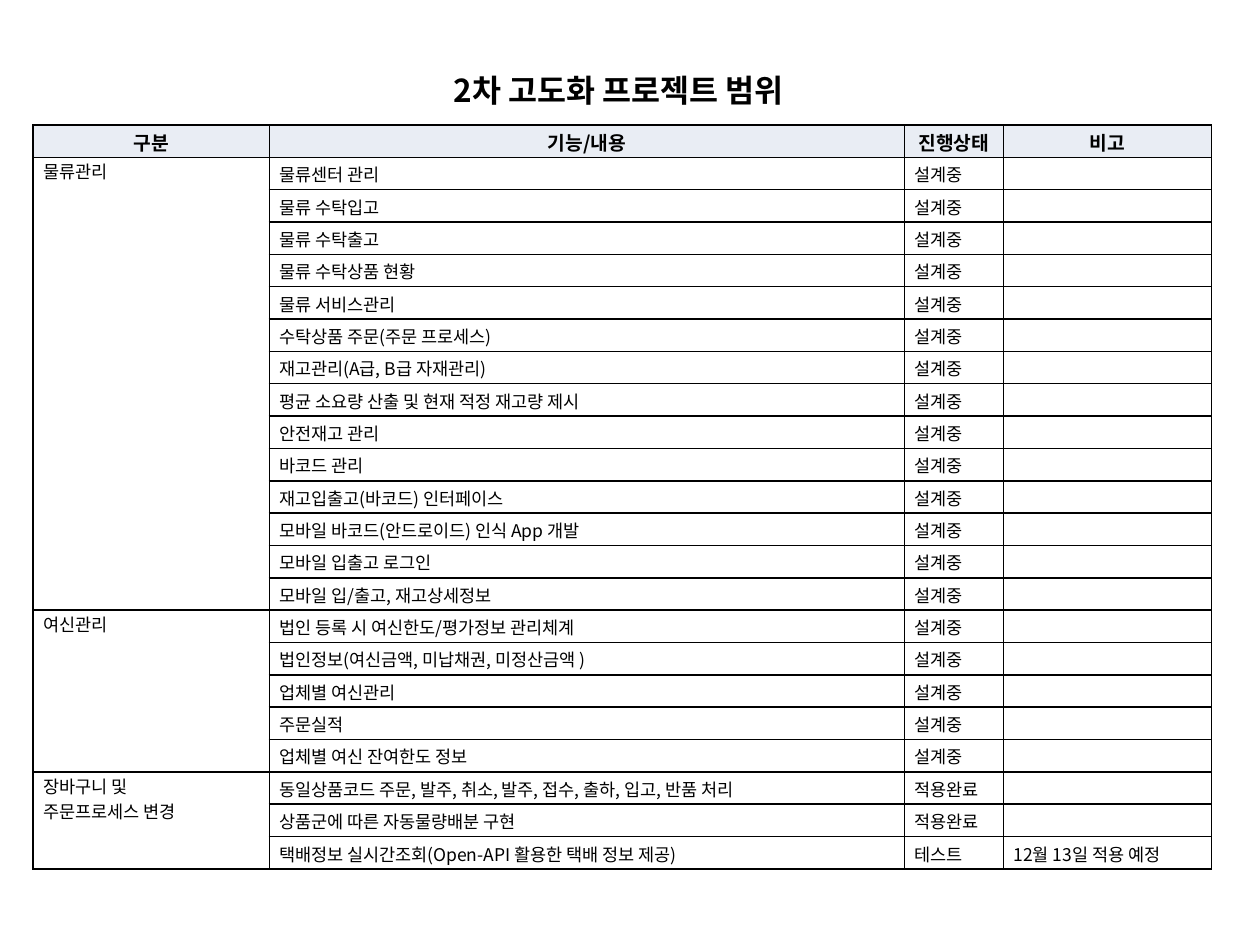
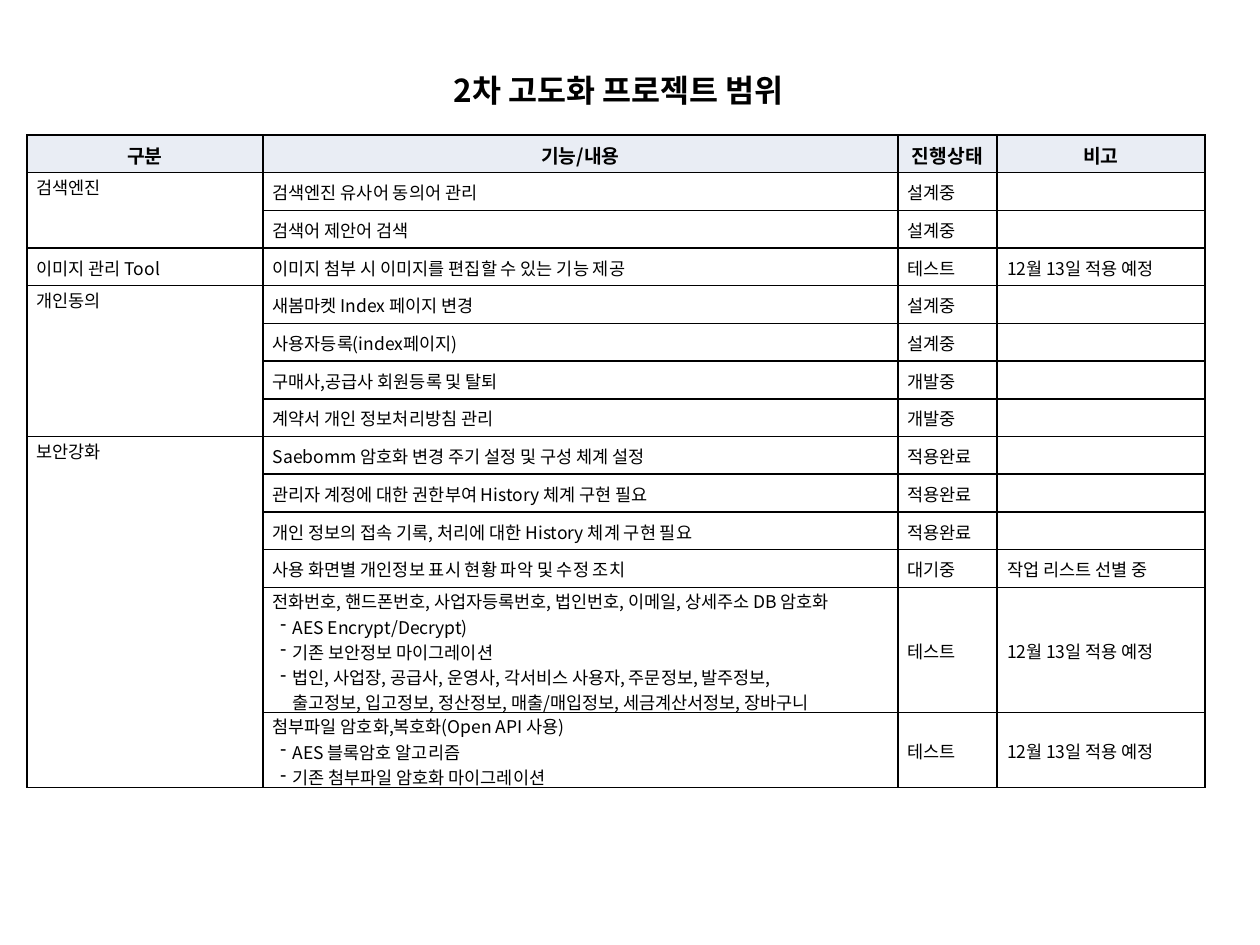
from lxml.etree import SubElement
from pptx import Presentation
from pptx.dml.color import RGBColor
from pptx.enum.text import MSO_ANCHOR, MSO_AUTO_SIZE, PP_ALIGN
from pptx.oxml.ns import qn
from pptx.util import Cm, Pt

# Shared style
FONT = "Noto Sans CJK KR"
BLACK, WHITE, HEADER_FILL = "000000", "FFFFFF", "E9EDF4"
TITLE = "2차 고도화 프로젝트 범위"
HEADERS = ["구분", "기능/내용", "진행상태", "비고"]
COLUMN_WIDTHS = [4.76, 12.8, 2, 4.19]
BODY_SIZE = 10

# Statuses and remarks
DESIGN, DEVELOP, TEST = "설계중", "개발중", "테스트"
DONE, WAITING = "적용완료", "대기중"
RELEASE = "12월 13일 적용 예정"


def with_status(status, *features):
    return [(feature, status, "") for feature in features]


# Each group: category and its rows of feature, status and remark
LOGISTICS_GROUPS = [
    ("물류관리", with_status(
        DESIGN,
        "물류센터 관리",
        "물류 수탁입고",
        "물류 수탁출고",
        "물류 수탁상품 현황",
        "물류 서비스관리",
        "수탁상품 주문(주문 프로세스)",
        "재고관리(A급, B급 자재관리)",
        "평균 소요량 산출 및 현재 적정 재고량 제시",
        "안전재고 관리",
        "바코드 관리",
        "재고입출고(바코드) 인터페이스",
        "모바일 바코드(안드로이드) 인식 App 개발",
        "모바일 입출고 로그인",
        "모바일 입/출고, 재고상세정보",
    )),
    ("여신관리", with_status(
        DESIGN,
        "법인 등록 시 여신한도/평가정보 관리체계",
        "법인정보(여신금액, 미납채권, 미정산금액 )",
        "업체별 여신관리",
        "주문실적",
        "업체별 여신 잔여한도 정보",
    )),
    ("장바구니 및\n주문프로세스 변경", [
        *with_status(
            DONE,
            "동일상품코드 주문, 발주, 취소, 발주, 접수, 출하, 입고, 반품 처리",
            "상품군에 따른 자동물량배분 구현",
        ),
        ("택배정보 실시간조회(Open-API 활용한 택배 정보 제공)", TEST, RELEASE),
    ]),
]

DATABASE_ENCRYPTION = """전화번호, 핸드폰번호, 사업자등록번호, 법인번호, 이메일, 상세주소 DB 암호화
- AES Encrypt/Decrypt)
- 기존 보안정보 마이그레이션
- 법인, 사업장, 공급사, 운영사, 각서비스 사용자, 주문정보, 발주정보,
출고정보, 입고정보, 정산정보, 매출/매입정보, 세금계산서정보, 장바구니"""
FILE_ENCRYPTION = """첨부파일 암호화,복호화(Open API 사용)
- AES 블록암호 알고리즘
- 기존 첨부파일 암호화 마이그레이션"""

SECURITY_GROUPS = [
    ("검색엔진", with_status(
        DESIGN, "검색엔진 유사어 동의어 관리", "검색어 제안어 검색")),
    ("이미지 관리 Tool", [
        ("이미지 첨부 시 이미지를 편집할 수 있는 기능 제공", TEST, RELEASE)]),
    ("개인동의", [
        *with_status(DESIGN, "새봄마켓 Index 페이지 변경", "사용자등록(index페이지)"),
        *with_status(DEVELOP, "구매사,공급사 회원등록 및 탈퇴",
                     "계약서 개인 정보처리방침 관리"),
    ]),
    ("보안강화", [
        *with_status(
            DONE,
            "Saebomm 암호화 변경 주기 설정 및 구성 체계 설정",
            "관리자 계정에 대한 권한부여 History 체계 구현 필요",
            "개인 정보의 접속 기록, 처리에 대한 History 체계 구현 필요",
        ),
        ("사용 화면별 개인정보 표시 현황 파악 및 수정 조치", WAITING, "작업 리스트 선별 중"),
        (DATABASE_ENCRYPTION, TEST, RELEASE),
        (FILE_ENCRYPTION, TEST, RELEASE),
    ]),
]


def color(value):
    return RGBColor.from_string(value)


def style_para(para, size, bold=False, align=PP_ALIGN.LEFT):
    para.alignment = align
    font = para.font
    font.name, font.size, font.bold = FONT, Pt(size), bold
    font.color.rgb = color(BLACK)
    SubElement(font._rPr, qn("a:ea"), typeface=FONT)
    if not para.text:
        SubElement(para._p, qn("a:endParaRPr"), sz=str(size * 100))


def hang_para(para, bulleted):
    """Indent a list line; a line without a bullet continues the one above."""
    properties = para._p.get_or_add_pPr()
    properties.set("marL", str(Cm(0.4)))
    properties.set("indent", str(Cm(-0.25) if bulleted else 0))
    if bulleted:
        SubElement(properties, qn("a:buChar"), char="-")


def border_cell(cell):
    properties = cell._tc.get_or_add_tcPr()
    for side in ("a:lnL", "a:lnR", "a:lnT", "a:lnB"):
        line = SubElement(properties, qn(side), w=str(Pt(1)))
        fill = SubElement(line, qn("a:solidFill"))
        SubElement(fill, qn("a:srgbClr"), val=BLACK)


def format_cell(cell, fill, left_margin, anchor=MSO_ANCHOR.MIDDLE):
    border_cell(cell)
    cell.fill.solid()
    cell.fill.fore_color.rgb = color(fill)
    cell.margin_left, cell.margin_right = Cm(left_margin), Cm(0.03)
    cell.margin_top, cell.margin_bottom = Cm(0.03), 0
    cell.vertical_anchor = anchor


def write_header(cell, text):
    format_cell(cell, HEADER_FILL, 0.03)
    cell.text = text
    style_para(cell.text_frame.paragraphs[0], 11, True, PP_ALIGN.CENTER)


def write_body(cell, text, anchor=MSO_ANCHOR.MIDDLE):
    format_cell(cell, WHITE, 0.2, anchor)
    in_list = False
    for index, line in enumerate(text.split("\n")):
        frame = cell.text_frame
        para = frame.add_paragraph() if index else frame.paragraphs[0]
        bulleted = line.startswith("- ")
        in_list = in_list or bulleted
        if line:
            para.text = line.removeprefix("- ")
        if in_list:
            hang_para(para, bulleted)
        style_para(para, BODY_SIZE)


def add_title(page):
    box = page.shapes.title
    box.left, box.top, box.width, box.height = Cm(8.89), Cm(1.3), Cm(10.8), Cm(1.02)
    frame = box.text_frame
    frame.text = TITLE
    frame.word_wrap = True
    frame.auto_size = MSO_AUTO_SIZE.SHAPE_TO_FIT_TEXT
    frame.vertical_anchor = MSO_ANCHOR.TOP
    style_para(frame.paragraphs[0], 18, True)


def add_scope_table(page, left, top, row_heights, groups):
    table = page.shapes.add_table(
        len(row_heights), len(HEADERS), Cm(left), Cm(top),
        Cm(sum(COLUMN_WIDTHS)), Cm(sum(row_heights))).table
    table.first_row = table.horz_banding = False
    for column, width in zip(table.columns, COLUMN_WIDTHS):
        column.width = Cm(width)
    for row, height in zip(table.rows, row_heights):
        row.height = Cm(height)
    for index, header in enumerate(HEADERS):
        write_header(table.cell(0, index), header)

    # Category cells span the rows of their group
    start = 1
    for category, rows in groups:
        anchor = MSO_ANCHOR.TOP if len(rows) > 1 else MSO_ANCHOR.MIDDLE
        for offset, values in enumerate(rows):
            label = "" if offset else category
            write_body(table.cell(start + offset, 0), label, anchor)
            for index, value in enumerate(values, 1):
                write_body(table.cell(start + offset, index), value)
        end = start + len(rows)
        if len(rows) > 1:
            table.cell(start, 0).merge(table.cell(end - 1, 0))
        start = end


def add_scope_page(deck, left, top, row_heights, groups):
    page = deck.slides.add_slide(deck.slide_layouts[5])
    add_title(page)
    add_scope_table(page, left, top, row_heights, groups)


def main():
    deck = Presentation()
    deck.slide_width, deck.slide_height = Cm(25.4), Cm(19.05)
    add_scope_page(deck, 0.67, 2.52, [15 / 23] * 23, LOGISTICS_GROUPS)
    add_scope_page(deck, 0.54, 2.72, [0.76] * 12 + [2.52, 1.52], SECURITY_GROUPS)
    deck.save("out.pptx")


if __name__ == "__main__":
    main()
